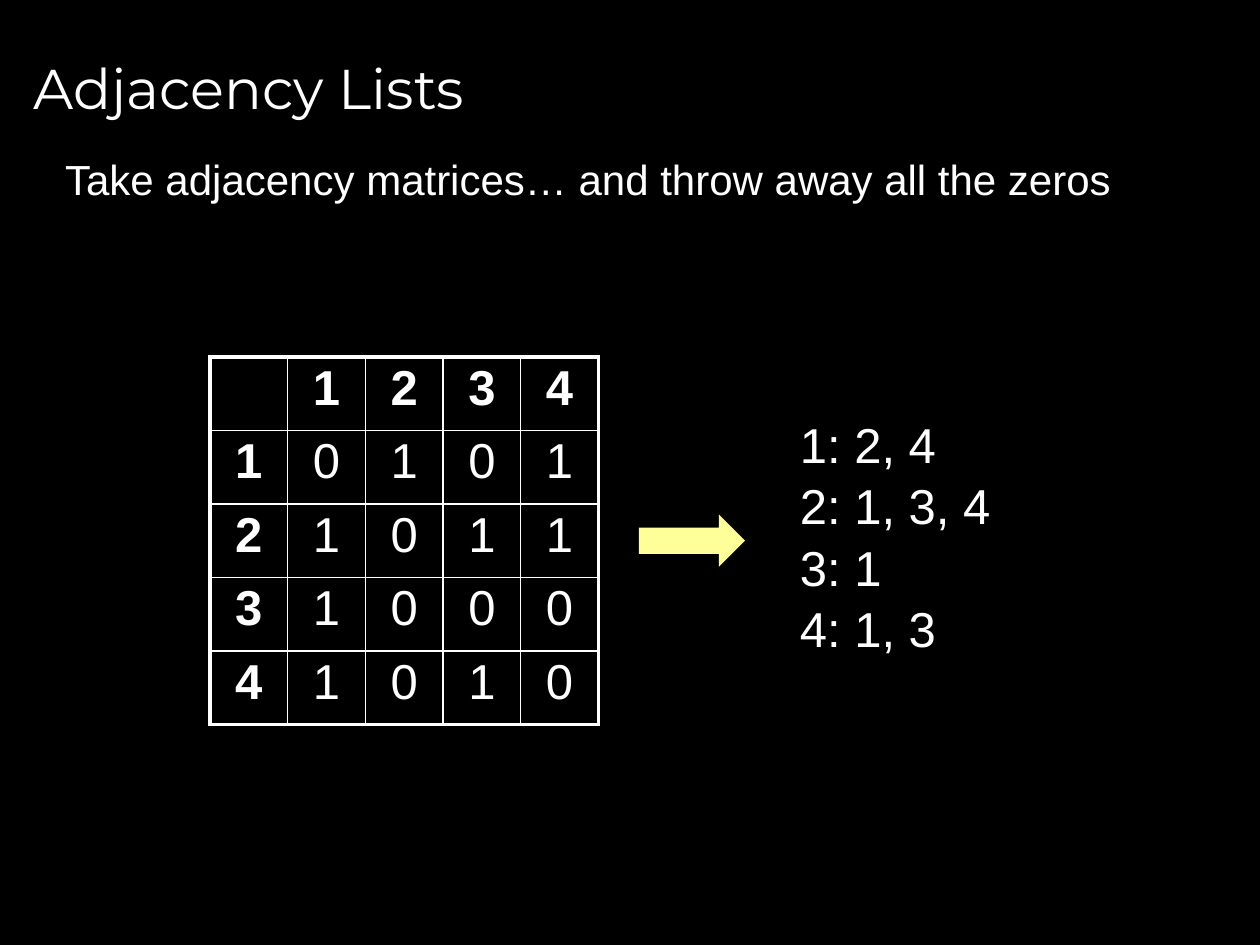
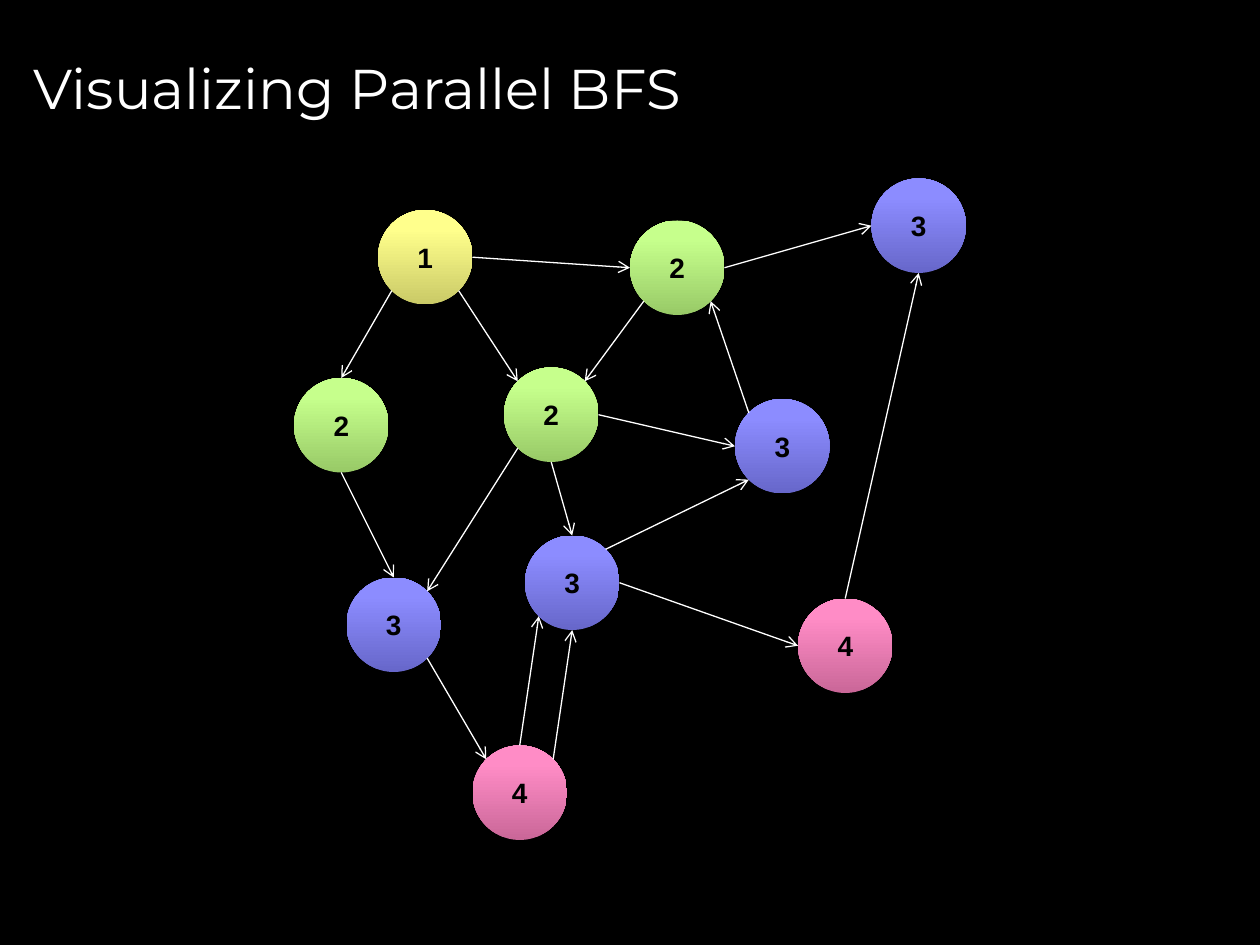
from dataclasses import dataclass
from enum import IntEnum
from math import cos, pi, sin

from copy import deepcopy
from lxml.etree import SubElement
from pptx import Presentation
from pptx.dml.color import RGBColor
from pptx.enum.shapes import MSO_CONNECTOR, MSO_SHAPE
from pptx.enum.text import MSO_ANCHOR, MSO_AUTO_SIZE, PP_ALIGN
from pptx.oxml.ns import qn
from pptx.util import Cm, Pt

BLACK = RGBColor(0x00, 0x00, 0x00)
WHITE = RGBColor(0xFF, 0xFF, 0xFF)
ARROW_YELLOW = RGBColor(0xFF, 0xFF, 0x99)

TITLE_FONT = {"name": "Montserrat", "size": Pt(32), "bold": False}
BODY_FONT = {"name": "Arial", "size": Pt(24), "bold": False}
DATA_FONT = {"name": "Arial", "size": Pt(28), "bold": False}
HEADER_FONT = {**DATA_FONT, "bold": True}
NODE_FONT = {"name": "Arial", "size": Pt(16), "bold": True}

TITLE_ONLY, TITLE_AND_BODY = 5, 1
THIN, THICK = Pt(1), Pt(2.25)
NODE_SIZE = 9


class Site(IntEnum):
    TOP = 0
    TOP_LEFT = 1
    LEFT = 2
    BOTTOM_LEFT = 3
    BOTTOM = 4
    BOTTOM_RIGHT = 5
    RIGHT = 6
    TOP_RIGHT = 7


@dataclass(frozen=True)
class Level:
    label: str
    dark: RGBColor
    light: RGBColor
    top: RGBColor


@dataclass(frozen=True)
class Node:
    level: Level
    col: int
    row: int

    def site(self, site):
        angle, radius = site * pi / 4, NODE_SIZE / 2
        return (grid(self.col + radius * (1 - sin(angle))),
                grid(self.row + radius * (1 - cos(angle))))


@dataclass(frozen=True)
class Edge:
    start: str
    start_site: Site
    end: str
    end_site: Site


def level(label: str, *colors: str) -> Level:
    return Level(label, *(RGBColor.from_string(c) for c in colors))


LEVEL_1 = level("1", "CACA67", "FFFF8C", "FFFF8E")
LEVEL_2 = level("2", "98CA67", "C6FF8C", "C7FF8E")
LEVEL_3 = level("3", "6767CA", "8C8CFF", "8E8EFF")
LEVEL_4 = level("4", "CA6798", "FF8CC6", "FF8EC7")

NODES = {
    "root": Node(LEVEL_1, 36, 20),
    "left": Node(LEVEL_2, 28, 36),
    "middle": Node(LEVEL_2, 48, 35),
    "upper": Node(LEVEL_2, 60, 21),
    "corner": Node(LEVEL_3, 83, 17),
    "right": Node(LEVEL_3, 70, 38),
    "center": Node(LEVEL_3, 50, 51),
    "lower": Node(LEVEL_3, 33, 55),
    "bottom": Node(LEVEL_4, 45, 71),
    "far": Node(LEVEL_4, 76, 57),
}

EDGES = [
    Edge("root", Site.BOTTOM_LEFT, "left", Site.TOP),
    Edge("root", Site.BOTTOM_RIGHT, "middle", Site.TOP_LEFT),
    Edge("root", Site.RIGHT, "upper", Site.LEFT),
    Edge("upper", Site.RIGHT, "corner", Site.LEFT),
    Edge("far", Site.TOP, "corner", Site.BOTTOM),
    Edge("right", Site.TOP_LEFT, "upper", Site.BOTTOM_RIGHT),
    Edge("upper", Site.BOTTOM_LEFT, "middle", Site.TOP_RIGHT),
    Edge("middle", Site.RIGHT, "right", Site.LEFT),
    Edge("left", Site.BOTTOM, "lower", Site.TOP),
    Edge("middle", Site.BOTTOM_LEFT, "lower", Site.TOP_RIGHT),
    Edge("middle", Site.BOTTOM, "center", Site.TOP),
    Edge("center", Site.TOP_RIGHT, "right", Site.BOTTOM_LEFT),
    Edge("lower", Site.BOTTOM_RIGHT, "bottom", Site.TOP_LEFT),
    Edge("bottom", Site.TOP, "center", Site.BOTTOM_LEFT),
    Edge("bottom", Site.TOP_RIGHT, "center", Site.BOTTOM),
    Edge("center", Site.RIGHT, "far", Site.LEFT),
]

MATRIX = ["0101", "1011", "1000", "1010"]
ADJACENCY = ["1: 2, 4", "2: 1, 3, 4", "3: 1", "4: 1, 3"]


def grid(n: float) -> Cm:
    return Cm(2.54 * n / 12)


def add_text(p, text: str, font: dict, color: RGBColor = WHITE) -> None:
    r = p.add_run()
    r.text = text
    for name, value in font.items():
        setattr(r.font, name, value)
    r.font.color.rgb = color


def place(sp, left: Cm, top: Cm, width: Cm, height: Cm) -> None:
    box = {"left": left, "top": top, "width": width, "height": height}
    for name, value in box.items():
        setattr(sp, name, value)


def add_slide(prs, layout: int, title: str):
    slide = prs.slides.add_slide(prs.slide_layouts[layout])
    sp = slide.shapes.title
    place(sp, grid(2), grid(1.5), grid(114), grid(13.5))
    tf = sp.text_frame
    tf.vertical_anchor = MSO_ANCHOR.MIDDLE
    p = tf.paragraphs[0]
    p.alignment = PP_ALIGN.LEFT
    add_text(p, title, TITLE_FONT)
    return slide


def fill_body(slide, text: str) -> None:
    sp = slide.placeholders[1]
    place(sp, grid(5), grid(14), grid(111), grid(67))
    p = sp.text_frame.paragraphs[0]
    p.space_before, p.space_after = Pt(0), Pt(6)
    pPr = p._p.get_or_add_pPr()
    pPr.set("marL", str(grid(4.5)))
    pPr.set("indent", str(-grid(4.5)))
    SubElement(pPr, qn("a:buNone"))
    add_text(p, text, BODY_FONT)


def set_borders(cell, widths: dict) -> None:
    tcPr = cell._tc.get_or_add_tcPr()
    for side, width in widths.items():
        ln = SubElement(tcPr, qn(f"a:{side}"), w=str(width))
        fill = SubElement(ln, qn("a:solidFill"))
        SubElement(fill, qn("a:srgbClr"), val=str(WHITE))


def add_matrix(slide) -> None:
    rows = [["", *"1234"]] + [[str(i), *row] for i, row in enumerate(MATRIX, 1)]
    n = len(rows)
    table = slide.shapes.add_table(n, n, grid(20), grid(34),
                                   grid(37), grid(35)).table
    table.first_row = table.horz_banding = False
    for i, row in enumerate(rows):
        for j, text in enumerate(row):
            cell = table.cell(i, j)
            cell.vertical_anchor = MSO_ANCHOR.MIDDLE
            p = cell.text_frame.paragraphs[0]
            p.alignment = PP_ALIGN.CENTER
            p.line_spacing = 0.71
            if text:
                add_text(p, text, DATA_FONT if i and j else HEADER_FONT)
            set_borders(cell, {
                "lnL": THIN if j else THICK,
                "lnR": THICK if j == n - 1 else THIN,
                "lnT": THIN if i else THICK,
                "lnB": THICK if i == n - 1 else THIN,
            })
            cell.fill.background()


def add_adjacency_list(slide) -> None:
    sp = slide.shapes.add_textbox(grid(75), Cm(8.28), grid(21), Cm(5.05))
    tf = sp.text_frame
    tf.word_wrap = False
    tf.auto_size = MSO_AUTO_SIZE.NONE
    tf.vertical_anchor = MSO_ANCHOR.MIDDLE
    for i, text in enumerate(ADJACENCY):
        p = tf.add_paragraph() if i else tf.paragraphs[0]
        p.space_before = Pt(1.3 if i else 0)
        add_text(p, text, DATA_FONT)


def add_plain_shape(slide, kind, left: Cm, top: Cm, width: Cm, height: Cm):
    sp = slide.shapes.add_shape(kind, left, top, width, height)
    sp.shadow.inherit = False
    sp.line.fill.background()
    return sp


def add_node(slide, node: Node):
    sp = add_plain_shape(slide, MSO_SHAPE.OVAL, grid(node.col), grid(node.row),
                         grid(NODE_SIZE), grid(NODE_SIZE))
    sp.fill.gradient()
    sp.fill.gradient_angle = 90
    stops = sp.element.find(".//" + qn("a:gsLst"))
    stops.insert(1, deepcopy(stops[0]))
    colors = (node.level.dark, node.level.light, node.level.top)
    for stop, position, color in zip(sp.fill.gradient_stops, (0, 0.8, 1), colors):
        stop.position = position
        stop.color.rgb = color
    tf = sp.text_frame
    tf.vertical_anchor = MSO_ANCHOR.MIDDLE
    p = tf.paragraphs[0]
    p.alignment = PP_ALIGN.CENTER
    add_text(p, node.level.label, NODE_FONT, BLACK)
    return sp


def add_edge(slide, edge: Edge, ovals: dict) -> None:
    line = slide.shapes.add_connector(
        MSO_CONNECTOR.STRAIGHT,
        *NODES[edge.start].site(edge.start_site),
        *NODES[edge.end].site(edge.end_site))
    line.line.color.rgb = WHITE
    line.line.width = Pt(0.75)
    SubElement(line.line._get_or_add_ln(), qn("a:tailEnd"), type="arrow")
    SubElement(line.element.spPr, qn("a:effectLst"))
    joints = line.element.find(".//" + qn("p:cNvCxnSpPr"))
    for tag, name, site in (("a:stCxn", edge.start, edge.start_site),
                            ("a:endCxn", edge.end, edge.end_site)):
        SubElement(joints, qn(tag), id=str(ovals[name].shape_id),
                   idx=str(site.value))


def add_lists_slide(prs) -> None:
    slide = add_slide(prs, TITLE_AND_BODY, "Adjacency Lists")
    fill_body(slide, "Take adjacency matrices… and throw away all the zeros")
    add_matrix(slide)
    add_adjacency_list(slide)
    arrow = add_plain_shape(slide, MSO_SHAPE.RIGHT_ARROW, Cm(12.88), grid(49),
                            Cm(2.14), grid(5))
    arrow.fill.solid()
    arrow.fill.fore_color.rgb = ARROW_YELLOW


def add_bfs_slide(prs) -> None:
    slide = add_slide(prs, TITLE_ONLY, "Visualizing Parallel BFS")
    ovals = {name: add_node(slide, node) for name, node in NODES.items()}
    for edge in EDGES:
        add_edge(slide, edge, ovals)


def main() -> None:
    prs = Presentation()
    prs.slide_width, prs.slide_height = Cm(25.4), Cm(19.05)
    background = prs.slide_master.background.fill
    background.solid()
    background.fore_color.rgb = BLACK
    add_lists_slide(prs)
    add_bfs_slide(prs)
    prs.save("out.pptx")


if __name__ == "__main__":
    main()
